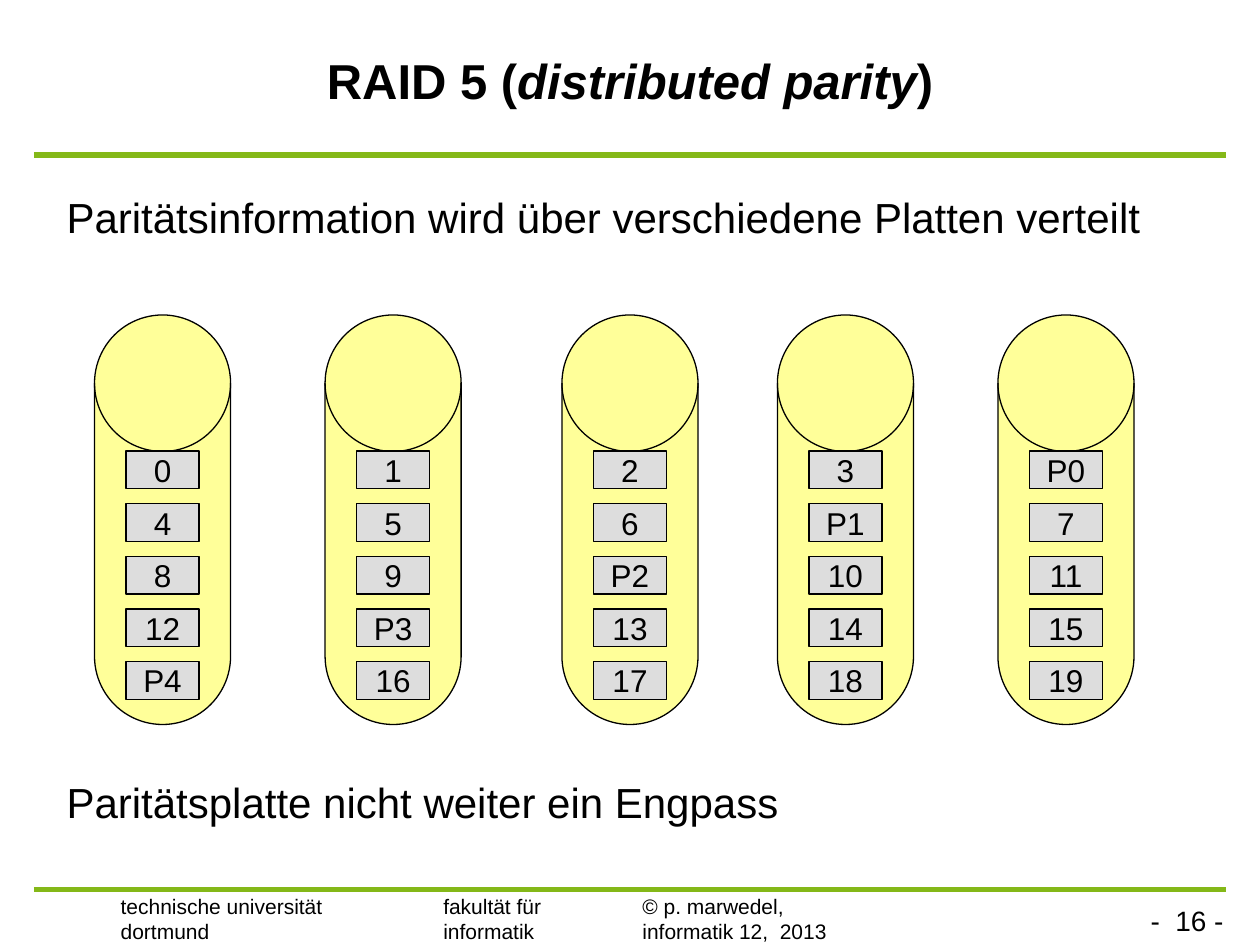
from pptx import Presentation
from pptx.dml.color import RGBColor
from pptx.enum.shapes import MSO_CONNECTOR, MSO_SHAPE
from pptx.enum.text import MSO_ANCHOR, PP_ALIGN
from pptx.oxml.ns import qn
from pptx.util import Inches, Pt
from lxml.etree import SubElement

COLORS = {"ink": "000000", "rule": "84B818", "disk": "FFFF99", "block": "DDDDDD"}
FONT = "Arial"


def color(name):
    return RGBColor.from_string(COLORS[name])


class Page:
    """Holds the slide and draws elements in its style."""

    def __init__(self, deck):
        self.slide = deck.slides.add_slide(deck.slide_layouts[5])
        self.shapes = self.slide.shapes

    def style(self, frame, size, align=PP_ALIGN.LEFT):
        for para in frame.paragraphs:
            para.alignment = align
            for run in para.runs:
                run.font.name = FONT
                run.font.size = Pt(size)
                run.font.color.rgb = color("ink")

    def title(self, parts):
        title = self.shapes.title
        title.left, title.top = Inches(0), Inches(0.08)
        title.width, title.height = Inches(10), Inches(1.11)
        frame = title.text_frame
        frame.vertical_anchor = MSO_ANCHOR.MIDDLE
        for text, slant in parts:
            run = frame.paragraphs[0].add_run()
            run.text = text
            run.font.bold, run.font.italic = True, slant
        self.style(frame, 28, PP_ALIGN.CENTER)

    def text(self, text, left, top, width, size, align=PP_ALIGN.LEFT):
        box = self.shapes.add_textbox(
            Inches(left), Inches(top), Inches(width), Inches(0.5))
        frame = box.text_frame
        frame.word_wrap = True
        frame.text = text
        self.style(frame, size, align)

    def rule(self, top):
        line = self.shapes.add_connector(
            MSO_CONNECTOR.STRAIGHT,
            Inches(0.27), Inches(top), Inches(9.73), Inches(top))
        line.line.color.rgb = color("rule")
        line.line.width = Pt(3)
        SubElement(line._element.spPr, qn("a:effectLst"))

    def shape(self, group, kind, left, top, width, height, fill):
        shape = group.shapes.add_shape(
            kind, Inches(left), Inches(top), Inches(width), Inches(height))
        shape.shadow.inherit = False
        shape.fill.solid()
        shape.fill.fore_color.rgb = color(fill)
        shape.line.color.rgb = color("ink")
        shape.line.width = Pt(0.75)
        return shape

    def disk(self, left, labels):
        group = self.shapes.add_group_shape()
        self.shape(group, MSO_SHAPE.FLOWCHART_MAGNETIC_DISK,
                   left, 2.5, 1.08, 3.25, "disk")
        step = 1.67 / (len(labels) - 1)
        for row, label in enumerate(labels):
            block = self.shape(group, MSO_SHAPE.RECTANGLE, left + 0.25,
                               3.58 + row * step, 0.58, 0.3, "block")
            frame = block.text_frame
            frame.margin_top = frame.margin_bottom = 0
            frame.vertical_anchor = MSO_ANCHOR.MIDDLE
            frame.text = label
            self.style(frame, 18, PP_ALIGN.CENTER)


def stripe(row, count):
    """Labels of one row; parity moves one disk to the left per row."""
    data = count - 1
    labels = [str(row * data + i) for i in range(data)]
    labels.insert(data - row, f"P{row}")
    return labels


def main():
    deck = Presentation()
    deck.slide_width, deck.slide_height = Inches(10), Inches(7.5)
    page = Page(deck)

    # Footer and rules
    page.text("-  16 -", 8.58, 7.12, 1.23, 16, PP_ALIGN.RIGHT)
    page.text("technische universität\ndortmund", 0.86, 7.04, 1.9, 12)
    page.text("fakultät für informatik", 3.42, 7.04, 1.6, 12)
    page.text("© p. marwedel, \vinformatik 12,  2013", 5, 7.04, 2.99, 12)
    for top in (7.06, 1.23):
        page.rule(top)

    # Title and statements
    page.title([("RAID 5 (", False), ("distributed parity", True), (")", False)])
    page.text("Paritätsinformation wird über verschiedene Platten verteilt",
              0.43, 1.47, 8.82, 24)

    # Disks with their blocks
    lefts = (0.75, 2.58, 4.46, 6.17, 7.92)
    rows = [stripe(row, len(lefts)) for row in range(5)]
    for left, labels in zip(lefts, zip(*rows)):
        page.disk(left, labels)

    page.text("Paritätsplatte nicht weiter ein Engpass", 0.43, 6.11, 5.98, 24)

    deck.save("out.pptx")


if __name__ == "__main__":
    main()
